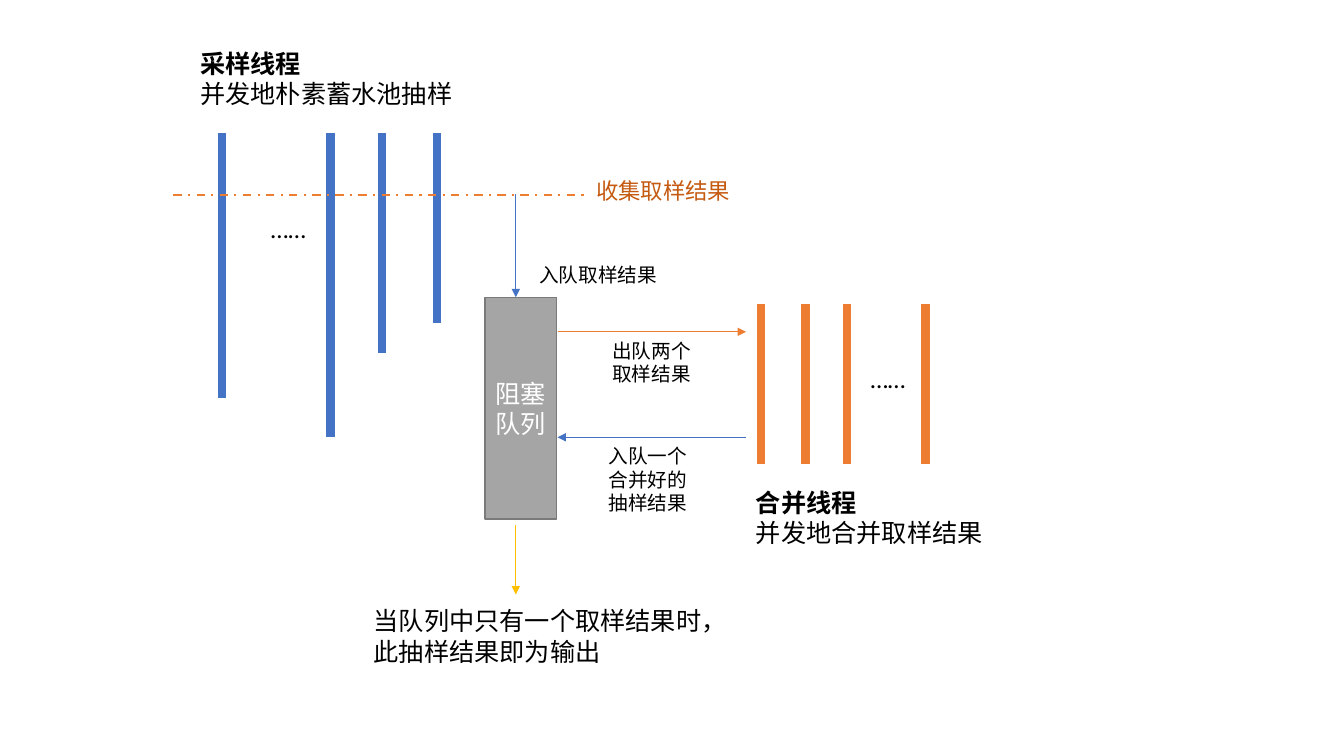
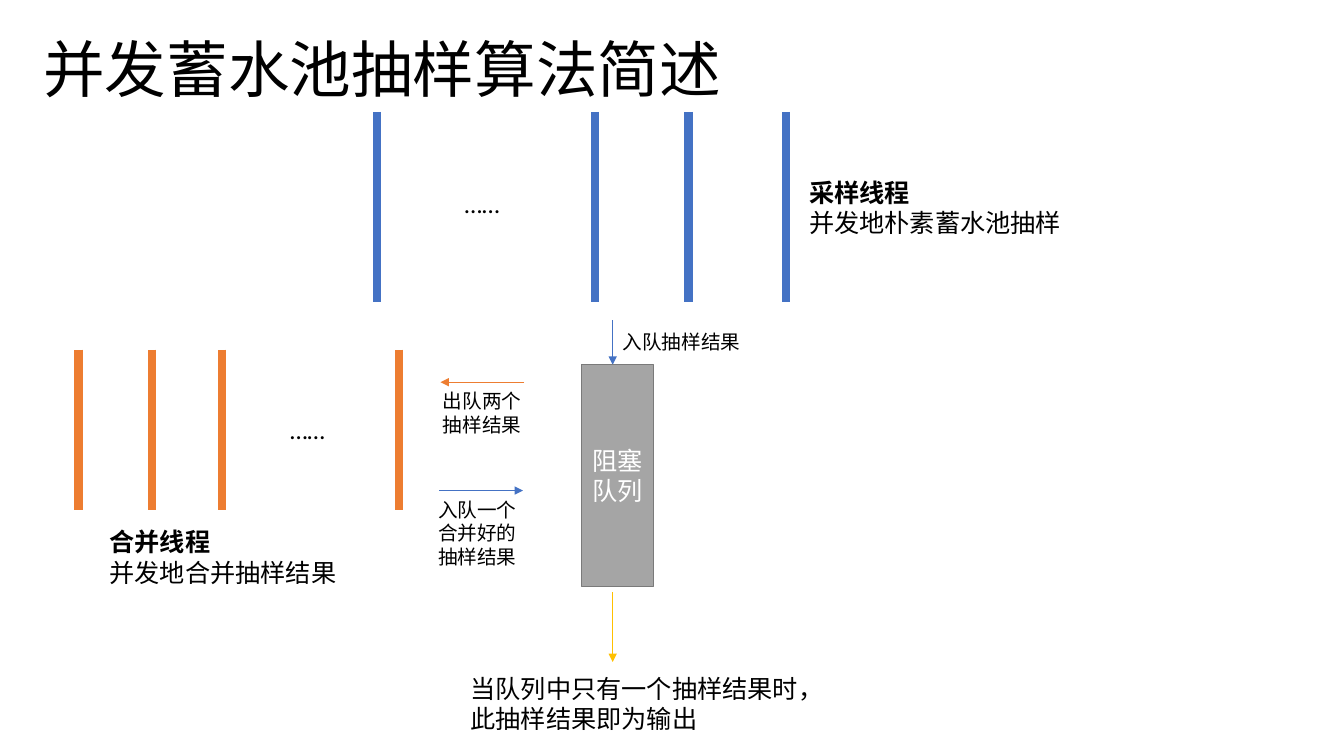
from pptx import Presentation
from pptx.dml.color import RGBColor
from pptx.enum.dml import MSO_LINE
from pptx.enum.shapes import MSO_CONNECTOR, MSO_SHAPE
from pptx.enum.text import MSO_ANCHOR, MSO_AUTO_SIZE, PP_ALIGN
from pptx.oxml.ns import qn
from pptx.util import Cm, Pt
from lxml import etree

STRAIGHT = MSO_CONNECTOR.STRAIGHT
RECT = MSO_SHAPE.RECTANGLE
DASH = MSO_LINE.DASH_DOT
MIDDLE = MSO_ANCHOR.MIDDLE
GROW = MSO_AUTO_SIZE.SHAPE_TO_FIT_TEXT
FIXED = MSO_AUTO_SIZE.NONE
LEFT = PP_ALIGN.LEFT
CENTER = PP_ALIGN.CENTER

FONT = "Calibri"
BLUE, ORANGE, GOLD = "4472C4", "ED7D31", "FFC000"
GRAY, EDGE, RUST = "A5A5A5", "7A7A7A", "C55A11"
BLACK, WHITE = "000000", "FFFFFF"
BODY, SMALL = 18, 14
THIN, THICK = 0.5, 6
QUEUE_W, QUEUE_H = 1.81, 5.59
AXIS = 0.78
GAP = 0.05


def paint(item, color):
    item.rgb = RGBColor.from_string(color)


def write(frame, lines, size, color=BLACK, align=LEFT, lead=False):
    for i, line in enumerate(lines):
        para = frame.paragraphs[0] if i == 0 else frame.add_paragraph()
        para.alignment = align
        run = para.add_run()
        run.text = line
        run.font.name = FONT
        run.font.size = Pt(size)
        run.font.bold = lead and i == 0
        paint(run.font.color, color)


def label(slide, x, y, w, h, lines, size=BODY, color=BLACK, lead=False):
    box = slide.shapes.add_textbox(Cm(x), Cm(y), Cm(w), Cm(h))
    box.text_frame.word_wrap = True
    box.text_frame.auto_size = GROW
    write(box.text_frame, lines, size, color, lead=lead)


def stroke(slide, start, end, color, width, arrow=False, dash=None):
    link = slide.shapes.add_connector(STRAIGHT, *map(Cm, start + end))
    link.line.width = Pt(width)
    link.line.fill.solid()
    paint(link.line.color, color)
    if dash:
        link.line.dash_style = dash
    props = link._element.spPr
    if arrow:
        tail = etree.SubElement(props.find(qn("a:ln")), qn("a:tailEnd"))
        tail.set("type", "triangle")
    etree.SubElement(props, qn("a:effectLst"))


def threads(slide, left, top, steps, sizes, color, dots, note, lines, width):
    for step, size in zip(steps, sizes):
        x = left + step
        stroke(slide, (x, top), (x, top + size), color, THICK)
    label(slide, left + dots[0], top + dots[1], 3.53, 1.02, ["……"])
    label(slide, left + note[0], top + note[1], width, 1.8, lines, lead=True)


def trade(slide, start, end, y, color, width, span, text):
    stroke(slide, (start, y), (end, y), color, width, arrow=True)
    left = (start + end - span[0]) / 2
    label(slide, left, y + GAP, *span, [text], SMALL)


def queue(slide, left, top, drop, shift, kind):
    axis = left + AXIS
    stroke(slide, (axis, top - drop), (axis, top), BLUE, THIN, arrow=True)
    label(slide, left + shift, top - 0.99, 4.37, 0.86,
          [f"入队{kind}结果"], SMALL)
    box = slide.shapes.add_shape(
        RECT, Cm(left), Cm(top), Cm(QUEUE_W), Cm(QUEUE_H))
    box.shadow.inherit = False
    box.fill.solid()
    paint(box.fill.fore_color, GRAY)
    paint(box.line.color, EDGE)
    box.line.width = Pt(1)
    box.text_frame.word_wrap = True
    box.text_frame.vertical_anchor = MIDDLE
    write(box.text_frame, ["阻塞队列"], BODY, WHITE, CENTER)
    stroke(slide, (axis, top + 5.74), (axis, top + 7.49), GOLD, THIN, arrow=True)
    label(slide, left - 3.05, top + 7.65, 9.14, 1.8,
          [f"当队列中只有一个{kind}结果时，", "此抽样结果即为输出"])


def collect(slide, left, right, y):
    stroke(slide, (left, y), (right, y), ORANGE, 1.5, dash=DASH)
    label(slide, right, y - 0.56, 6.53, 0.94, ["收集取样结果"], 16, RUST)


def heading(slide, text):
    title = slide.shapes.title
    title.left, title.top = Cm(0.84), Cm(0)
    title.width, title.height = Cm(29.21), Cm(3.68)
    title.text_frame.vertical_anchor = MIDDLE
    title.text_frame.auto_size = FIXED
    write(title.text_frame, [text], 44)
    title.text_frame.paragraphs[0].line_spacing = 0.9


SAMPLE = ["采样线程", "并发地朴素蓄水池抽样"]
MERGE = "合并线程"
PUSH = "入队一个合并好的抽样结果"
PAIR, TRIO = (2.49, 1.45), (2.67, 2.06)


def detail(deck):
    slide = deck.slides.add_slide(deck.slide_layouts[6])
    threads(slide, 5.59, 3.35, (0, 2.74, 4.04, 5.43), (6.68, 7.67, 5.54, 4.8),
            BLUE, (0.99, 1.91), (-0.79, -2.26), SAMPLE, 9.58)
    threads(slide, 19.18, 7.65, (0, 1.12, 2.16, 4.14), [4.04] * 4,
            ORANGE, (2.51, 1.37), (-0.38, 4.5),
            [MERGE, "并发地合并取样结果"], 7.16)
    trade(slide, 14.05, 18.8, 8.36, ORANGE, 0.75, PAIR, "出队两个取样结果")
    trade(slide, 18.8, 14.05, 11.02, BLUE, THIN, TRIO, PUSH)
    queue(slide, 12.22, 7.49, 2.59, 1.12, "取样")
    collect(slide, 4.37, 14.78, 4.91)


def summary(deck):
    slide = deck.slides.add_slide(deck.slide_layouts[5])
    heading(slide, "并发蓄水池抽样算法简述")
    threads(slide, 9.5, 2.82, (0, 5.49, 7.85, 10.31), [4.8] * 4,
            BLUE, (1.96, 1.8), (10.64, 1.52), SAMPLE, 9.58)
    threads(slide, 1.98, 8.81, (0, 1.85, 3.61, 8.08), [4.03] * 4,
            ORANGE, (5.08, 1.5), (0.53, 4.34),
            [MERGE, "并发地合并抽样结果"], 7.16)
    trade(slide, 13.21, 11.1, 9.63, ORANGE, THIN, PAIR, "出队两个抽样结果")
    trade(slide, 11.07, 13.18, 12.36, BLUE, THIN, TRIO, PUSH)
    queue(slide, 14.66, 9.19, 1.12, AXIS, "抽样")


deck = Presentation()
deck.slide_width, deck.slide_height = Cm(33.87), Cm(19.05)
detail(deck)
summary(deck)
deck.save("out.pptx")
